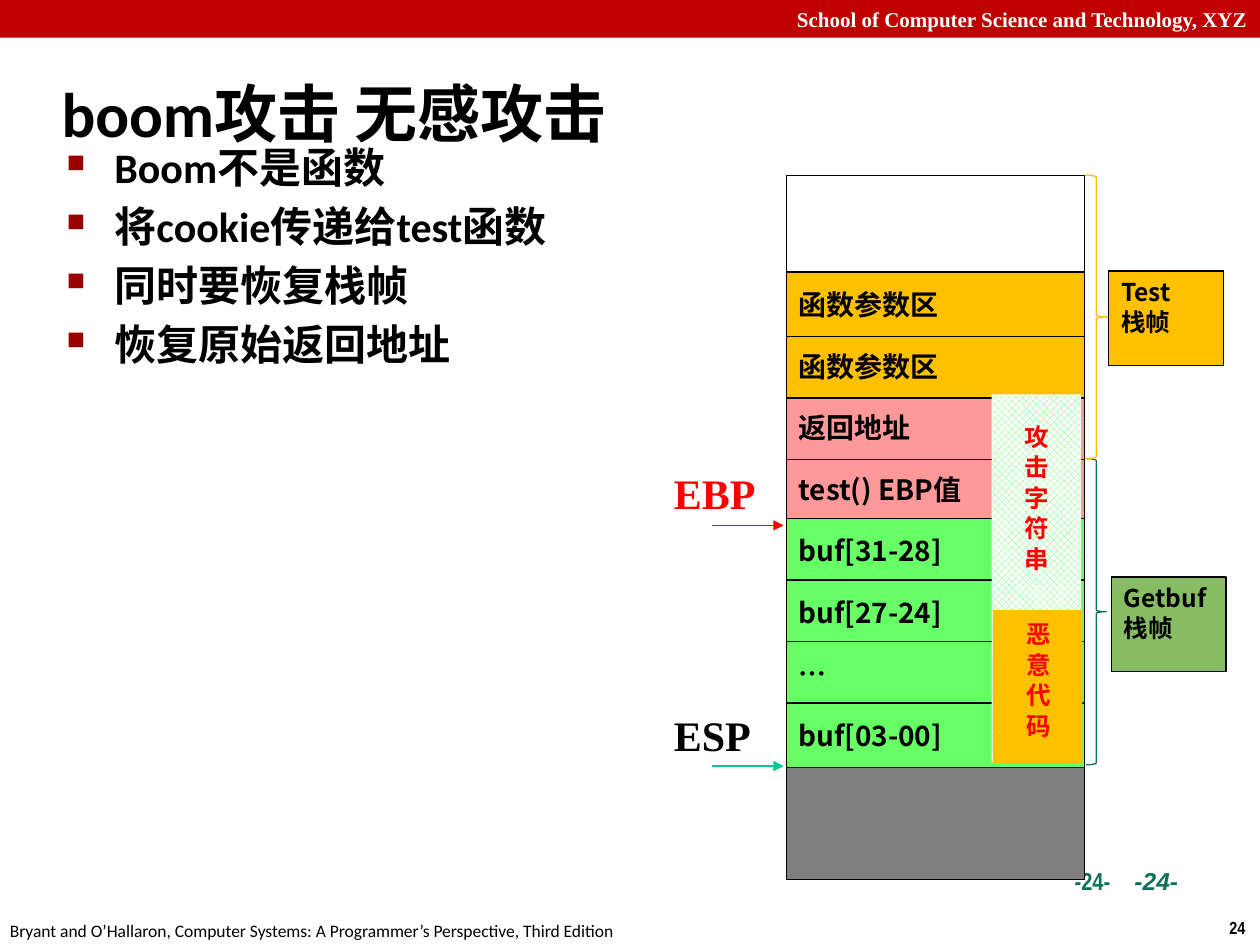
import pptx
import pptx.util
import pptx.dml.color
import pptx.enum.dml
import pptx.enum.shapes
import pptx.enum.text
import pptx.oxml
import pptx.oxml.ns
from lxml import etree

Inches = pptx.util.Inches
Pt = pptx.util.Pt
RGBColor = pptx.dml.color.RGBColor
Shape = pptx.enum.shapes.MSO_SHAPE
Align = pptx.enum.text.PP_ALIGN
Anchor = pptx.enum.text.MSO_ANCHOR
qn = pptx.oxml.ns.qn

BLACK = RGBColor(0x00, 0x00, 0x00)
WHITE = RGBColor(0xFF, 0xFF, 0xFF)
GRAY = RGBColor(0x80, 0x80, 0x80)
RED = RGBColor(0xFF, 0x00, 0x00)
BANNER_RED = RGBColor(0xC0, 0x00, 0x00)
PINK = RGBColor(0xFF, 0x99, 0x99)
GOLD = RGBColor(0xFF, 0xC0, 0x00)
LIME = RGBColor(0x66, 0xFF, 0x66)
LEAF = RGBColor(0x86, 0xBC, 0x64)
TEAL = RGBColor(0x0D, 0x71, 0x57)
MINT = RGBColor(0x00, 0xC8, 0x96)

SANS = "Noto Sans CJK SC"
SERIF = "Times New Roman"
BODY = "Calibri"
NARROW = "Arial Narrow"


class SlideBuilder:
    def __init__(self, slide):
        self.slide = slide
        self.line_width = Pt(0.75)

    def label(self, shape, lines, font, size, color=BLACK, bold=True, italic=False,
              align=Align.LEFT, anchor=Anchor.TOP, wrap=True, indent=0):
        frame = shape.text_frame
        frame.word_wrap = wrap
        frame.vertical_anchor = anchor
        style = {"name": font, "size": Pt(size), "bold": bold, "italic": italic}
        for index, line in enumerate(lines):
            para = frame.paragraphs[0] if index == 0 else frame.add_paragraph()
            para.alignment = align
            if indent:
                para._p.get_or_add_pPr().set("marL", str(Inches(indent)))
            span = para.add_run()
            span.text = line
            for key, value in style.items():
                setattr(span.font, key, value)
            span.font.color.rgb = color
        return frame

    def text(self, place, lines, font, size, **options):
        box = self.slide.shapes.add_textbox(*map(Inches, place))
        return self.label(box, lines, font, size, **options)

    def shape(self, place, fill=None, line=None, kind=Shape.RECTANGLE):
        shape = self.slide.shapes.add_shape(kind, *map(Inches, place))
        shape.shadow.inherit = False
        if fill is None:
            shape.fill.background()
        else:
            shape.fill.solid()
            shape.fill.fore_color.rgb = fill
        if line is None:
            shape.line.fill.background()
        else:
            shape.line.color.rgb = line
            shape.line.width = self.line_width
        return shape

    def arrow(self, left, right, top, color):
        arrow = self.slide.shapes.add_connector(
            pptx.enum.shapes.MSO_CONNECTOR.STRAIGHT,
            Inches(left), Inches(top), Inches(right), Inches(top))
        arrow.line.color.rgb = color
        arrow.line.width = self.line_width
        properties = arrow._element.spPr
        etree.SubElement(properties.find(qn("a:ln")), qn("a:tailEnd"), type="triangle")
        etree.SubElement(properties, qn("a:effectLst"))

    def bullets(self, place, lines, font, size):
        frame = self.text(place, lines, font, size)
        for para in frame.paragraphs:
            para.space_before = Pt(5)
            properties = para._p.get_or_add_pPr()
            properties.set("marL", str(Inches(0.38)))
            properties.set("indent", str(Inches(-0.38)))
            color = etree.SubElement(properties, qn("a:buClr"))
            etree.SubElement(color, qn("a:srgbClr"), val="990000")
            etree.SubElement(properties, qn("a:buSzPct"), val="60000")
            etree.SubElement(properties, qn("a:buChar"), char="■")

    def vertical(self, shape, line, **options):
        frame = self.label(shape, [line], SANS, 14, color=RED, anchor=Anchor.MIDDLE, **options)
        frame._txBody.find(qn("a:bodyPr")).set("vert", "eaVert")


deck = pptx.Presentation()
deck.slide_width = Inches(10)
deck.slide_height = Inches(7.5)
page = SlideBuilder(deck.slides.add_slide(deck.slide_layouts[6]))

page.text((9.66, 7.23, 0.34, 0.27), ["24"], NARROW, 10, wrap=False)
page.text((-0.02, 7.25, 5.08, 0.27),
          ["Bryant and O’Hallaron, Computer Systems: A Programmer’s Perspective, Third Edition"],
          BODY, 10, bold=False, wrap=False)
banner = page.shape((0, 0, 10, 0.3), BANNER_RED)
page.label(banner, ["School of Computer Science and Technology, XYZ"], SERIF, 12,
           color=WHITE, align=Align.RIGHT, anchor=Anchor.MIDDLE)

page.text((0.39, 0.48, 9.61, 0.83), ["boom攻击 无感攻击"], BODY, 36, anchor=Anchor.MIDDLE)
page.bullets((0.43, 1.07, 4.33, 5.51),
             ["Boom不是函数", "将cookie传递给test函数", "同时要恢复栈帧", "恢复原始返回地址"],
             BODY, 24)

number_place = (8.39, 6.82, 1.11, 0.52)
page.text(number_place, ["-24-"], NARROW, 14, color=TEAL, indent=0.04)
number = page.text(number_place, ["-24-"], "Arial", 14, color=TEAL, italic=True, align=Align.RIGHT)
number.margin_right = Inches(0.15)

STACK_LEFT, STACK_WIDTH = 6.24, 2.37
page.shape((STACK_LEFT, 3.64, STACK_WIDTH, 3.34), GRAY, BLACK)
page.shape((STACK_LEFT, 1.39, STACK_WIDTH, 2.25), WHITE, BLACK)

for register, top, arrow_top, text_color, arrow_color in [
        ("EBP", 3.66, 4.17, RED, RED), ("ESP", 5.58, 6.08, BLACK, MINT)]:
    page.text((5.25, top, 0.98, 0.5), [register], SERIF, 24, color=text_color)
    page.arrow(5.65, 6.22, arrow_top, arrow_color)

cells = [("函数参数区", GOLD), ("函数参数区", GOLD), ("返回地址", PINK), ("test() EBP值", PINK),
         ("buf[31-28]", LIME), ("buf[27-24]", LIME), ("…", LIME), ("buf[03-00]", LIME)]
FIRST_TOP, LAST_TOP = 2.16, 5.58
row_step = (LAST_TOP - FIRST_TOP) / (len(cells) - 1)
for row in [3, 4, 5, 6, 7, 2, 1, 0]:
    caption, fill = cells[row]
    cell = page.shape((STACK_LEFT, FIRST_TOP + row * row_step, STACK_WIDTH, 0.51), fill, BLACK)
    page.label(cell, [caption], SANS, 16, anchor=Anchor.MIDDLE)

for brace_place, brace_color, frame_place, frame_fill, lines in [
        ((8.62, 3.64, 0.16, 2.43), TEAL, (8.82, 4.58, 0.91, 0.75), LEAF, ["Getbuf栈帧"]),
        ((8.61, 1.39, 0.18, 2.25), GOLD, (8.8, 2.15, 0.91, 0.75), GOLD, ["Test", "栈帧"])]:
    page.shape(brace_place, line=brace_color, kind=Shape.RIGHT_BRACE)
    page.label(page.shape(frame_place, frame_fill, BLACK), lines, SANS, 14)

attack = page.shape((7.87, 3.13, 0.71, 2.92))
attack.fill.patterned()
attack.fill.pattern = pptx.enum.dml.MSO_PATTERN.LARGE_CHECKER_BOARD
attack.fill.fore_color.rgb = LIME
attack.fill.back_color.rgb = WHITE
page.vertical(attack, "攻 击 字 符 串", indent=0.14)
code = page.shape((7.88, 4.84, 0.71, 1.22), GOLD)
page.vertical(code, "恶 意 代 码", align=Align.CENTER)

deck.save("out.pptx")
